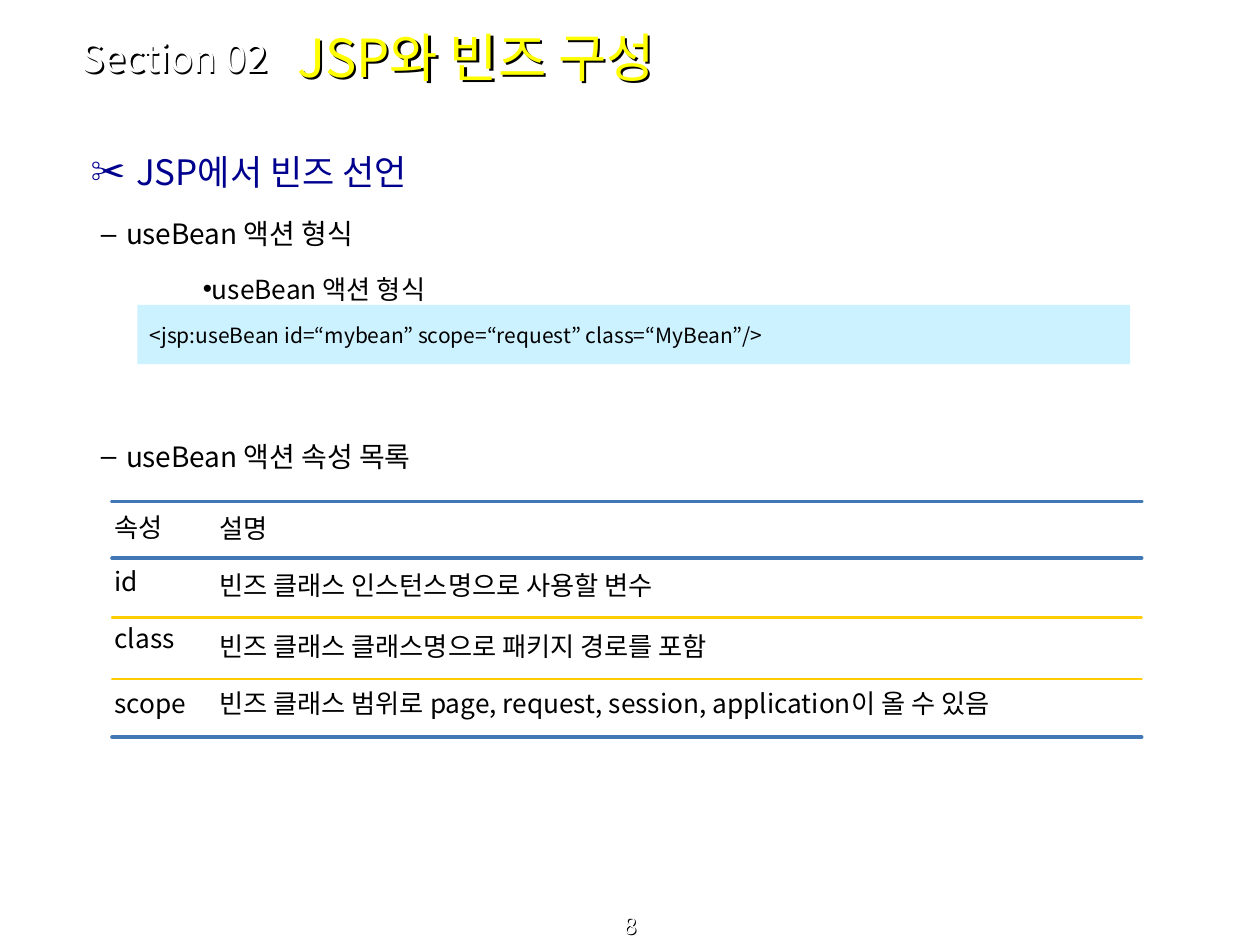
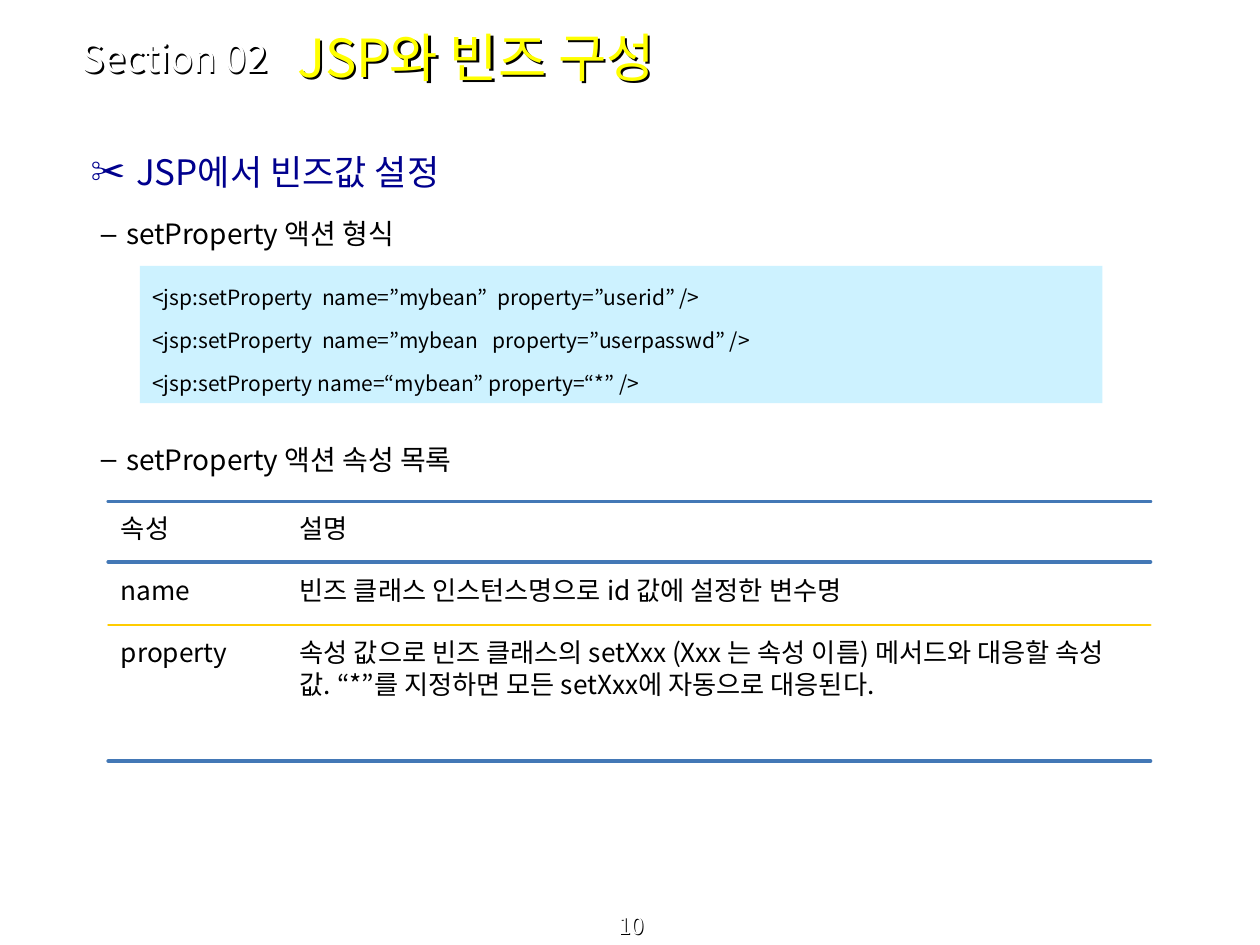
from lxml import etree
from pptx import Presentation
from pptx import util as u
from pptx.dml.color import RGBColor
from pptx.enum import shapes, text
from pptx.oxml.ns import qn

# ---- Shared look ----
FONT = "Noto Sans CJK KR"
WHITE, BLACK, YELLOW, NAVY = "FFFFFF", "000000", "FFFF00", "00008E"
CODE_FILL, RULE, THIN_RULE = "CDF2FF", "4378B6", "FFCC00"
NO_TABLE_STYLE = "{2D5ABB26-0587-4C30-8999-92F81FD0307C}"

SECTION, TITLE = "Section 02", "JSP와 빈즈 구성"

# Per level: size, colour, bullet, left margin, indent, line height (pt)
LEVELS = [
    (20, NAVY, "✂", 0.47, -0.36, 23.7),
    (16, BLACK, "–", 0.39, -0.2, 28),
    (15, BLACK, "•", 0.59, 0.41, 26),
]

# ---- Content ----
# body: (level, space before, text); table rows are bounded by row_edges,
# cell_tops holds the top margins of the two cells in each row
SLIDES = [
    dict(
        number="8",
        body=[(0, 0, "JSP에서 빈즈 선언"),
              (1, 5, "useBean 액션 형식"),
              (2, 5, "useBean 액션 형식"),
              (1, 68, "useBean 액션 속성 목록")],
        code_box=(1.09, 2.42, 7.88, 0.47), code_line=15.5,
        code=["<jsp:useBean id=“mybean” scope=“request” class=“MyBean”/>"],
        col_edges=[0.89, 1.72, 9.06], cell_margin=0.02,
        row_edges=[3.98, 4.43, 4.9, 5.39, 5.85],
        cell_tops=[(0.09, 0.1), (0.07, 0.1), (0.05, 0.12), (0.08, 0.08)],
        rows=[("속성", "설명"),
              ("id", "빈즈 클래스 인스턴스명으로 사용할 변수"),
              ("class", "빈즈 클래스 클래스명으로 패키지 경로를 포함"),
              ("scope", "빈즈 클래스 범위로 page, request, session, "
                        "application이 올 수 있음")],
    ),
    dict(
        number="10",
        body=[(0, 0, "JSP에서 빈즈값 설정"),
              (1, 5, "setProperty 액션 형식"),
              (1, 101, "setProperty 액션 속성 목록")],
        code_box=(1.11, 2.11, 7.64, 1.09), code_line=21.6,
        code=["<jsp:setProperty  name=”mybean”  property=”userid” />",
              "<jsp:setProperty  name=”mybean   property=”userpasswd” />",
              "<jsp:setProperty name=“mybean” property=“*” />"],
        col_edges=[0.86, 2.28, 9.13], cell_margin=0.1,
        row_edges=[3.98, 4.46, 4.96, 6.04],
        cell_tops=[(0.1, 0.1), (0.11, 0.11), (0.1, 0.1)],
        rows=[("속성", "설명"),
              ("name", "빈즈 클래스 인스턴스명으로 id 값에 설정한 변수명"),
              ("property", "속성 값으로 빈즈 클래스의 setXxx (Xxx 는 속성 이름) "
                           "메서드와 대응할 속성 값. “*”를 지정하면 모든 "
                           "setXxx에 자동으로 대응된다.")],
    ),
]


# ---- Helpers ----
def rgb(color):
    return RGBColor.from_string(color)


def add_xml(parent, tag, **attrs):
    return etree.SubElement(parent, qn(tag), {k: str(v) for k, v in attrs.items()})


def add_color(parent, color):
    add_xml(parent, "a:srgbClr", val=color)


def place(sp, left, top, width, height):
    sp.left, sp.top = u.Inches(left), u.Inches(top)
    sp.width, sp.height = u.Inches(width), u.Inches(height)


def style(p, size, color, line=None, before=0):
    p.space_before = u.Pt(before)
    if line:
        p.line_spacing = u.Pt(line)
    p.font.size = u.Pt(size)
    p.font.bold = False
    p.font.color.rgb = rgb(color)
    p.font.name = FONT


def cast_text_shadow(sp, size):
    """An unfilled shape drops the shadow of its text."""
    sp.fill.background()
    sp.line.fill.background()
    effects = add_xml(sp._element.spPr, "a:effectLst")
    drop = add_xml(effects, "a:outerShdw", blurRad=0, dist=u.Pt(size / 17),
                   dir=2700000, algn="tl", rotWithShape=0)
    add_color(drop, BLACK)


def set_frame(tf, anchor):
    tf.word_wrap = True
    tf.auto_size = text.MSO_AUTO_SIZE.NONE
    tf.vertical_anchor = anchor


def add_label(s, content, box, size, anchor, align):
    sp = s.shapes.add_textbox(*map(u.Inches, box))
    set_frame(sp.text_frame, anchor)
    p = sp.text_frame.paragraphs[0]
    p.text, p.alignment = content, align
    style(p, size, WHITE)
    cast_text_shadow(sp, size)


# ---- Slide parts ----
def fill_title(s):
    sp = s.shapes.title
    place(sp, 2.16, 0.11, 6.49, 0.68)
    tf = sp.text_frame
    tf.text = TITLE
    tf.margin_left = u.Inches(0.2)
    set_frame(tf, text.MSO_ANCHOR.MIDDLE)
    p = tf.paragraphs[0]
    p.alignment = text.PP_ALIGN.LEFT
    style(p, 30, YELLOW)
    cast_text_shadow(sp, 30)


def fill_body(s, items):
    sp = s.placeholders[1]
    place(sp, 0.51, 1.15, 9, 5.9)
    tf = sp.text_frame
    set_frame(tf, text.MSO_ANCHOR.TOP)
    tf.text = "\n".join(item[2] for item in items)
    for p, (level, before, _) in zip(tf.paragraphs, items):
        size, color, bullet, margin, indent, line = LEVELS[level]
        p.level = level
        ppr = p._p.get_or_add_pPr()
        ppr.set("marL", str(u.Inches(margin)))
        ppr.set("indent", str(u.Inches(indent)))
        add_color(add_xml(ppr, "a:buClr"), color)
        add_xml(ppr, "a:buChar", char=bullet)
        style(p, size, color, line, before)


def add_code(s, lines, box, line):
    sp = s.shapes.add_shape(shapes.MSO_SHAPE.RECTANGLE, *map(u.Inches, box))
    sp.shadow.inherit = False
    sp.fill.solid()
    sp.fill.fore_color.rgb = rgb(CODE_FILL)
    sp.line.fill.background()
    tf = sp.text_frame
    set_frame(tf, text.MSO_ANCHOR.MIDDLE if len(lines) == 1 else text.MSO_ANCHOR.TOP)
    tf.text = "\n".join(lines)
    for i, p in enumerate(tf.paragraphs):
        p.alignment = text.PP_ALIGN.LEFT
        style(p, 12, BLACK, line, 3 if i else 0)


def add_attributes(s, rows, xs, ys, margin, tops):
    box = xs[0], ys[0], xs[-1] - xs[0], ys[-1] - ys[0]
    table = s.shapes.add_table(len(rows), len(xs) - 1, *map(u.Inches, box)).table
    table.first_row = table.horz_banding = False
    table._tbl.tblPr.find(qn("a:tableStyleId")).text = NO_TABLE_STYLE
    for col, a, b in zip(table.columns, xs, xs[1:]):
        col.width = u.Inches(b - a)
    for row, a, b in zip(table.rows, ys, ys[1:]):
        row.height = u.Inches(b - a)
    for i, row in enumerate(rows):
        for j, content in enumerate(row):
            cell = table.cell(i, j)
            cell.fill.background()
            cell.margin_left = u.Inches(margin)
            cell.margin_right = u.Inches(2 * margin)
            cell.margin_top = u.Inches(tops[i][j])
            cell.margin_bottom = 0
            cell.text = content
            style(cell.text_frame.paragraphs[0], 15, BLACK, 18.3)


def add_rules(s, x1, x2, ys):
    # Heavy rules frame the header and the end, thin ones part the rows
    for i, y in enumerate(ys):
        heavy = i in (0, 1, len(ys) - 1)
        rule = s.shapes.add_connector(shapes.MSO_CONNECTOR.STRAIGHT,
                                      *map(u.Inches, (x1, y, x2, y)))
        rule.line.color.rgb = rgb(RULE if heavy else THIN_RULE)
        rule.line.width = u.Pt(2.25 if heavy else 1.5)
        rule._element.spPr.find(qn("a:ln")).set("cap", "rnd")
        add_xml(rule._element.spPr, "a:effectLst")


def main():
    prs = Presentation()
    prs.slide_width, prs.slide_height = u.Inches(10), u.Inches(7.5)
    for d in SLIDES:
        s = prs.slides.add_slide(prs.slide_layouts[1])
        xs, ys = d["col_edges"], d["row_edges"]
        fill_title(s)
        fill_body(s, d["body"])
        add_label(s, SECTION, (0.55, 0.27, 1.93, 0.37), 22,
                  text.MSO_ANCHOR.MIDDLE, text.PP_ALIGN.LEFT)
        add_code(s, d["code"], d["code_box"], d["code_line"])
        add_attributes(s, d["rows"], xs, ys, d["cell_margin"], d["cell_tops"])
        add_rules(s, xs[0], xs[-1], ys)
        add_label(s, d["number"], (0.02, 7.28, 9.98, 0.22), 13,
                  text.MSO_ANCHOR.BOTTOM, text.PP_ALIGN.CENTER)
    prs.save("out.pptx")


if __name__ == "__main__":
    main()
